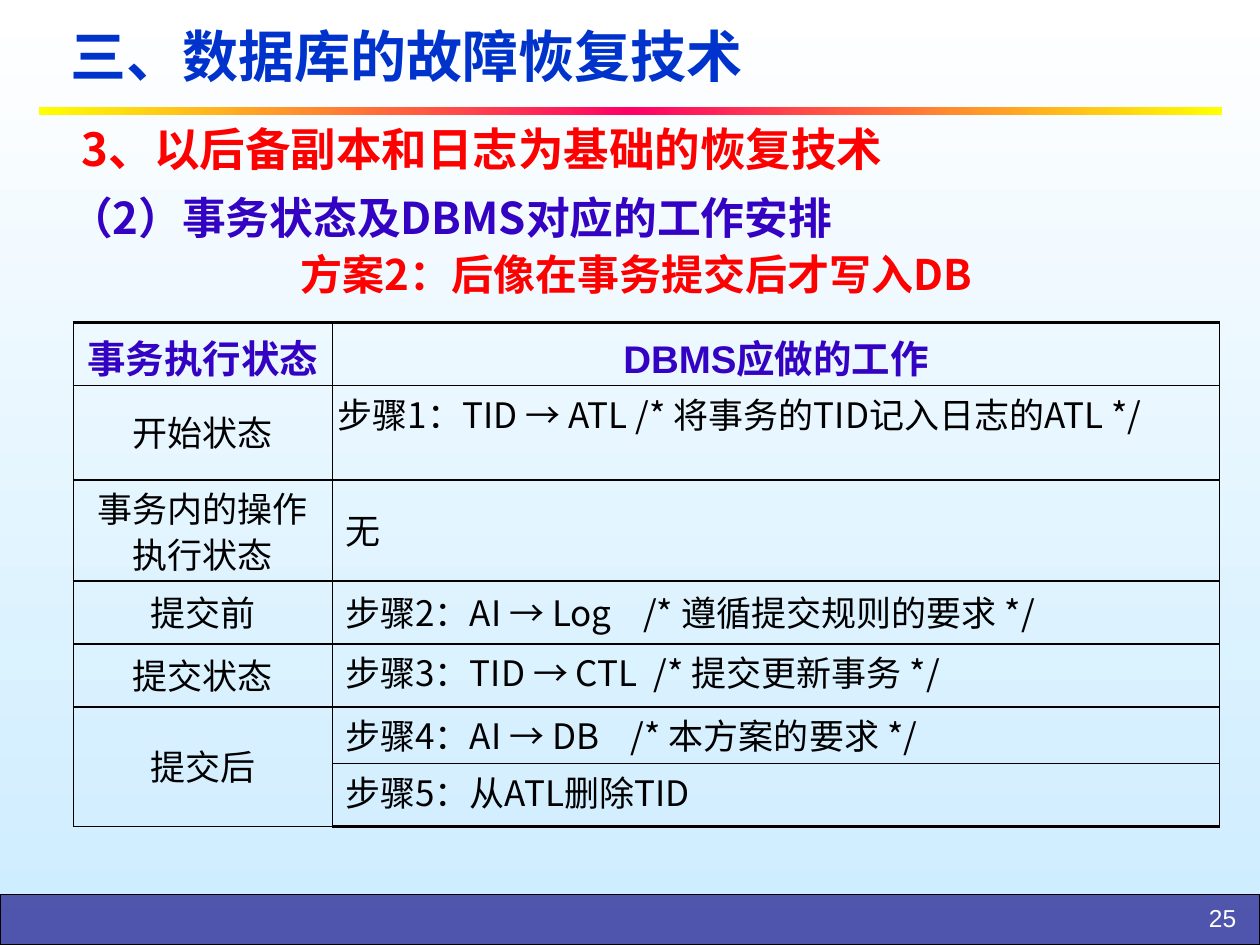
from copy import deepcopy
from dataclasses import dataclass
from typing import Any

from lxml.etree import SubElement
from pptx import Presentation
from pptx.dml.color import RGBColor
from pptx.enum.shapes import MSO_SHAPE as SHAPE
from pptx.enum.text import MSO_ANCHOR as ANCHOR, PP_ALIGN as ALIGN
from pptx.oxml.ns import qn
from pptx.util import Inches, Pt

COLORS = {
    "white": "FFFFFF", "sky": "CCECFF", "navy": "333399", "black": "000000",
    "yellow": "FFFF00", "pink": "FF0066", "title": "0033CC",
    "red": "FF0000", "violet": "3402C2",
}
SANS, CJK = "Arial", "Noto Sans CJK SC"
COLS, ROWS = 100, 75

HEADER = ("事务执行状态", "DBMS应做的工作")
STEPS = [
    ("开始状态", "步骤1：TID → ATL /* 将事务的TID记入日志的ATL */", ANCHOR.TOP),
    ("事务内的操作执行状态", "无", ANCHOR.MIDDLE),
    ("提交前", "步骤2：AI → Log    /* 遵循提交规则的要求 */", ANCHOR.MIDDLE),
    ("提交状态", "步骤3：TID → CTL  /* 提交更新事务 */", ANCHOR.TOP),
    ("提交后", "步骤4：AI → DB    /* 本方案的要求 */", ANCHOR.TOP),
    ("", "步骤5：从ATL删除TID", ANCHOR.TOP),
]


@dataclass
class Deck:
    """Styles and draws elements on one slide, placed on a 100 by 75 grid."""
    prs: Any
    s: Any

    def place(self, left, top, width, height):
        x, y = self.prs.slide_width / COLS, self.prs.slide_height / ROWS
        return [int(v) for v in (left * x, top * y, width * x, height * y)]

    def rgb(self, name):
        return RGBColor.from_string(COLORS[name])

    def gradient(self, fill, names, angle):
        fill.gradient()
        fill.gradient_angle = angle
        first = fill._fill._gradFill.gsLst[0]
        while len(fill.gradient_stops) < len(names):
            first.addnext(deepcopy(first))
        for i, (stop, name) in enumerate(zip(fill.gradient_stops, names)):
            stop.color.rgb = self.rgb(name)
            stop.position = i / (len(names) - 1)

    def background(self, names):
        self.gradient(self.s.background.fill, names, 270)

    def rect(self, box):
        sp = self.s.shapes.add_shape(SHAPE.RECTANGLE, *self.place(*box))
        sp.shadow.inherit = False
        return sp

    def band(self, box, color, alpha):
        sp = self.rect(box)
        sp.fill.solid()
        sp.fill.fore_color.rgb = self.rgb(color)
        clr = sp.fill._xPr.find(qn("a:solidFill"))[0]
        SubElement(clr, qn("a:alpha"), val=str(alpha * 1000))
        sp.line.color.rgb = self.rgb("black")
        sp.line.width = Pt(0.75)

    def rule(self, box, names):
        sp = self.rect(box)
        self.gradient(sp.fill, names, 0)
        sp.line.fill.background()

    def style_text(self, tf, text, size, color, font, bold=False, align=ALIGN.LEFT, spacing=1.0):
        p = tf.paragraphs[0]
        p.text = text
        p.alignment, p.line_spacing = align, spacing
        f = p.font
        f.name, f.size, f.bold = font, Pt(size), bold
        f.color.rgb = self.rgb(color)

    def text(self, box, text, size, color, font=CJK, anchor=ANCHOR.TOP, wrap=True, **style):
        tf = self.s.shapes.add_textbox(*self.place(*box)).text_frame
        tf.word_wrap, tf.vertical_anchor = wrap, anchor
        self.style_text(tf, text, size, color, font, **style)

    def borders(self, cell, **widths):
        pr = cell._tc.get_or_add_tcPr()
        for i, side in enumerate("LRTB"):
            ln = pr.makeelement(qn(f"a:ln{side}"), {"w": str(Pt(widths[side]))})
            SubElement(SubElement(ln, qn("a:solidFill")), qn("a:srgbClr"), val=COLORS["black"])
            pr.insert(i, ln)

    def table(self, box, widths, heights):
        tbl = self.s.shapes.add_table(len(heights), len(widths), *self.place(*box)).table
        tbl.first_row = tbl.horz_banding = False
        for col, w in zip(tbl.columns, widths):
            col.width = self.place(0, 0, w, 0)[2]
        for row, h in zip(tbl.rows, heights):
            row.height = self.place(0, 0, 0, h)[3]
        last = len(heights) - 1
        for r, (state, work, anchor) in enumerate([(*HEADER, ANCHOR.MIDDLE), *STEPS]):
            for c, text in enumerate((state, work)):
                cell = tbl.cell(r, c)
                cell.fill.background()
                cell.vertical_anchor = anchor if c else ANCHOR.MIDDLE
                self.borders(cell, L=1 if c else 0.75, R=0.75 if c else 1,
                             T=1 if r else 2, B=2 if r == last else 1)
                if r == 0:
                    self.style_text(cell.text_frame, text, 22, "violet", SANS, True, ALIGN.CENTER)
                elif text:
                    align = ALIGN.LEFT if c else ALIGN.CENTER
                    self.style_text(cell.text_frame, text, 20, "black", CJK, False, align, 0.9)
        tbl.cell(last - 1, 0).merge(tbl.cell(last, 0))
        first_step = tbl.cell(1, 1)
        first_step.margin_left = first_step.margin_right = Inches(0.04)


def main():
    prs = Presentation()
    prs.slide_width, prs.slide_height = Inches(10), Inches(7.5)
    deck = Deck(prs, prs.slides.add_slide(prs.slide_layouts[6]))
    deck.background(["white", "sky"])
    deck.band((0, 71, 100, 4), "navy", 81)
    deck.rule((3.1, 8.5, 93.9, 0.6), ["yellow", "pink", "yellow"])
    deck.text((89.4, 71.2, 9.7, 3), "25", 14, "white", SANS, align=ALIGN.RIGHT)
    deck.text((4.6, 0.6, 90, 7.6), "三、数据库的故障恢复技术", 32, "title", SANS,
              ANCHOR.MIDDLE, bold=True)
    deck.text((6, 19.2, 89, 8.3), "方案2：后像在事务提交后才写入DB", 24, "red",
              bold=True, align=ALIGN.CENTER)
    deck.table((5.8, 25.6, 91, 40.1), [20.6, 70.4], [5, 7.5, 8, 5, 5, 4.5, 5])
    deck.text((4.5, 14.2, 69.5, 5.6), "（2）事务状态及DBMS对应的工作安排", 25, "violet",
              bold=True, spacing=1.1)
    deck.text((5.5, 8.4, 68.5, 6.7), "3、以后备副本和日志为基础的恢复技术", 26, "red",
              anchor=ANCHOR.MIDDLE, wrap=False, bold=True, align=ALIGN.JUSTIFY)
    prs.save("out.pptx")


if __name__ == "__main__":
    main()
